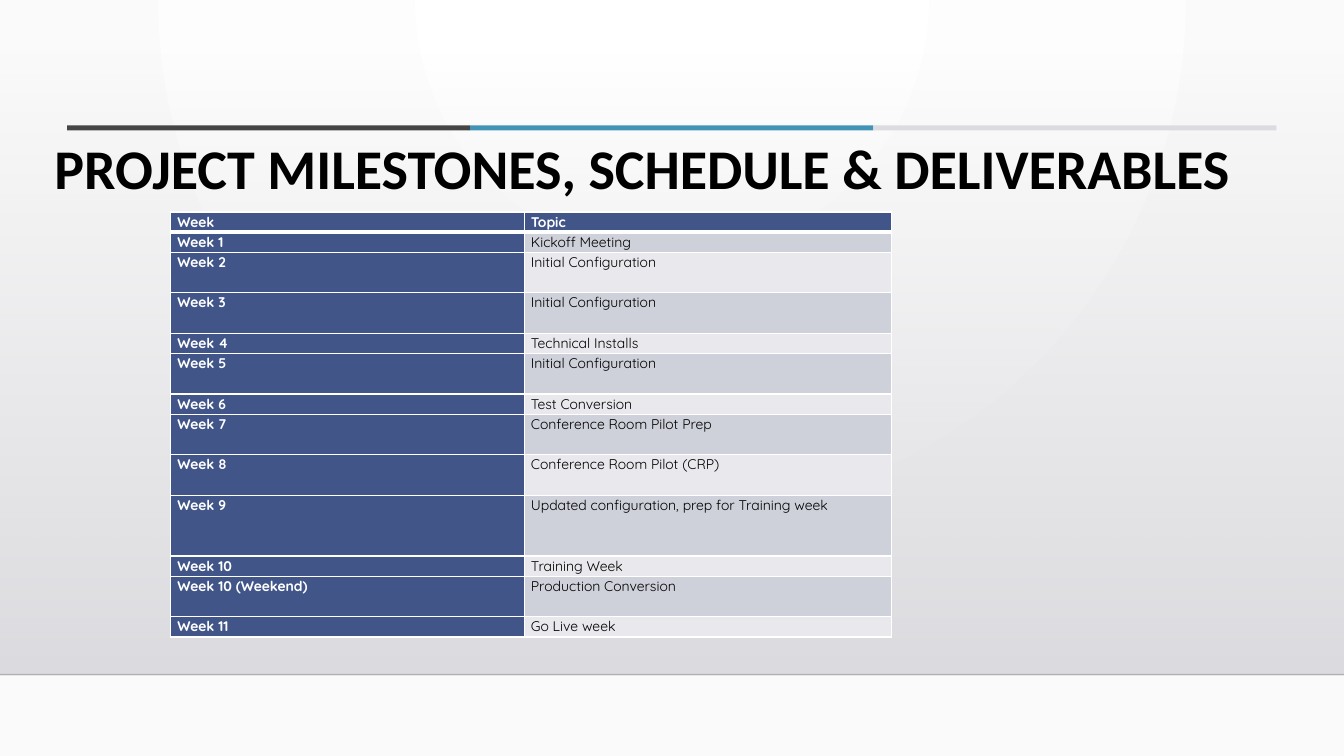
from lxml import etree
from pptx import Presentation
from pptx import util as u
from pptx.dml import color
from pptx.enum import shapes, text
from pptx.oxml import parse_xml
from pptx.oxml import ns

HEADLINE = "PROJECT MILESTONES, SCHEDULE & DELIVERABLES"
SCHEDULE = [
    ("Week", "Topic", 1),
    ("Week 1", "Kickoff Meeting", 1),
    ("Week 2", "Initial Configuration", 2),
    ("Week 3", "Initial Configuration", 2),
    ("Week 4", "Technical Installs", 1),
    ("Week 5", "Initial Configuration", 2),
    ("Week 6", "Test Conversion", 1),
    ("Week 7", "Conference Room Pilot Prep", 2),
    ("Week 8", "Conference Room Pilot (CRP)", 2),
    ("Week 9", "Updated configuration, prep for Training week", 3),
    ("Week 10", "Training Week", 1),
    ("Week 10 (Weekend)", "Production Conversion", 2),
    ("Week 11", "Go Live week", 1),
]
COLUMN_WIDTHS = (8.91, 9.25)
LINE_HEIGHT = 0.51
NAVY, BANDS = "415588", ("E9E9ED", "CFD1DA")
STRIPES = ("454545", "4294B6", "DCDCE0")
STRIPE_WIDTH = 10.16
PAGE_WIDTH, PAGE_HEIGHT = 33.87, 19.05
PANEL_TOP, PANEL_BOTTOM = 1.3, 17

BACKDROP_STOPS = [(0, "FFFFFF", 100), (100, "FAFAFA", 100)]
BACKDROP_PATH = '<a:path path="circle"><a:fillToRect l="43000" r="43000" b="100000"/></a:path>'
PANEL_STOPS = [(0, "DCDCE0", 0), (100, "DEDEE2", 100)]
PANEL_PATH = '<a:lin ang="5400000" scaled="0"/>'

HEADLINE_FONT = {"name": "Calibri", "size": u.Pt(40), "bold": True}
CELL_FONT = {"name": "Quicksand", "size": u.Pt(10)}
CELL_FORMAT = {"margin_left": u.Cm(0.17), "margin_right": u.Cm(0.17),
               "margin_top": 0, "margin_bottom": 0}


def rgb(value):
    return color.RGBColor.from_string(value)


def apply(target, values):
    for key, value in values.items():
        setattr(target, key, value)


def paint(fill, value):
    fill.solid()
    fill.fore_color.rgb = rgb(value)


def gradient(fill, owner, stops, direction):
    fill.gradient()
    marks = "".join(
        f'<a:gs pos="{place * 1000}"><a:srgbClr val="{tone}">'
        f'<a:alpha val="{opacity * 1000}"/></a:srgbClr></a:gs>'
        for place, tone, opacity in stops)
    current = owner.find(".//" + ns.qn("a:gradFill"))
    current.getparent().replace(current, parse_xml(
        f'<a:gradFill {ns.nsdecls("a")} rotWithShape="1"><a:gsLst>{marks}</a:gsLst>'
        f'{direction}</a:gradFill>'))


def write(paragraph, words, tone, spacing, font):
    paragraph.line_spacing = spacing
    run = paragraph.add_run()
    run.text = words
    apply(run.font, font)
    run.font.color.rgb = rgb(tone)


def rectangle(slide, left, top, width, height):
    box = slide.shapes.add_shape(shapes.MSO_SHAPE.RECTANGLE, *map(u.Cm, (left, top, width, height)))
    box.shadow.inherit = False
    box.line.fill.background()
    return box


def border(cell, bottom):
    properties = cell._tc.get_or_add_tcPr()
    for place, (side, points) in enumerate(zip("LRTB", (1, 1, 1, bottom))):
        properties.insert(place, parse_xml(
            f'<a:ln{side} {ns.nsdecls("a")} w="{u.Pt(points)}"><a:solidFill>'
            f'<a:srgbClr val="FFFFFF"/></a:solidFill></a:ln{side}>'))


def draw_backdrop(slide):
    gradient(slide.background.fill, slide.element, BACKDROP_STOPS, BACKDROP_PATH)
    panel = rectangle(slide, 0, PANEL_TOP, PAGE_WIDTH, PANEL_BOTTOM - PANEL_TOP)
    gradient(panel.fill, panel.element, PANEL_STOPS, PANEL_PATH)
    floor = slide.shapes.add_connector(
        shapes.MSO_CONNECTOR.STRAIGHT, *map(u.Cm, (0, PANEL_BOTTOM, PAGE_WIDTH, PANEL_BOTTOM)))
    floor.line.width = u.Pt(1)
    floor.line.color.rgb = rgb("000001")
    tone = floor.element.find(".//" + ns.qn("a:srgbClr"))
    etree.SubElement(tone, ns.qn("a:alpha"), val="20000")
    etree.SubElement(floor.element.spPr, ns.qn("a:effectLst"))
    for place, stripe in enumerate(STRIPES):
        bar = rectangle(slide, 1.69 + place * STRIPE_WIDTH, 3.16, STRIPE_WIDTH, 0.13)
        paint(bar.fill, stripe)


def draw_headline(slide):
    headline = slide.shapes.add_textbox(*map(u.Cm, (1.12, 3.43, 31.9, 2.92))).text_frame
    apply(headline, {"word_wrap": True, "vertical_anchor": text.MSO_ANCHOR.TOP})
    write(headline.paragraphs[0], HEADLINE, "000000", 0.9, HEADLINE_FONT)


def draw_schedule(slide):
    height = LINE_HEIGHT * sum(lines for _, _, lines in SCHEDULE)
    schedule = slide.shapes.add_table(
        len(SCHEDULE), len(COLUMN_WIDTHS),
        *map(u.Cm, (4.3, 5.34, sum(COLUMN_WIDTHS), height))).table
    for column, width in zip(schedule.columns, COLUMN_WIDTHS):
        column.width = u.Cm(width)
    for week, (*entries, lines) in enumerate(SCHEDULE):
        schedule.rows[week].height = u.Cm(LINE_HEIGHT * lines)
        for place, words in enumerate(entries):
            cell = schedule.cell(week, place)
            heading = week == 0 or place == 0
            apply(cell, CELL_FORMAT)
            paint(cell.fill, NAVY if heading else BANDS[week % 2])
            border(cell, 3 if week == 0 else 1)
            write(cell.text_frame.paragraphs[0], words, "FFFFFF" if heading else "000000",
                  1.07, {**CELL_FONT, "bold": heading})


def main():
    deck = Presentation()
    apply(deck, {"slide_width": u.Cm(PAGE_WIDTH), "slide_height": u.Cm(PAGE_HEIGHT)})
    slide = deck.slides.add_slide(deck.slide_layouts[6])
    draw_backdrop(slide)
    draw_headline(slide)
    draw_schedule(slide)
    deck.save("out.pptx")


if __name__ == "__main__":
    main()
